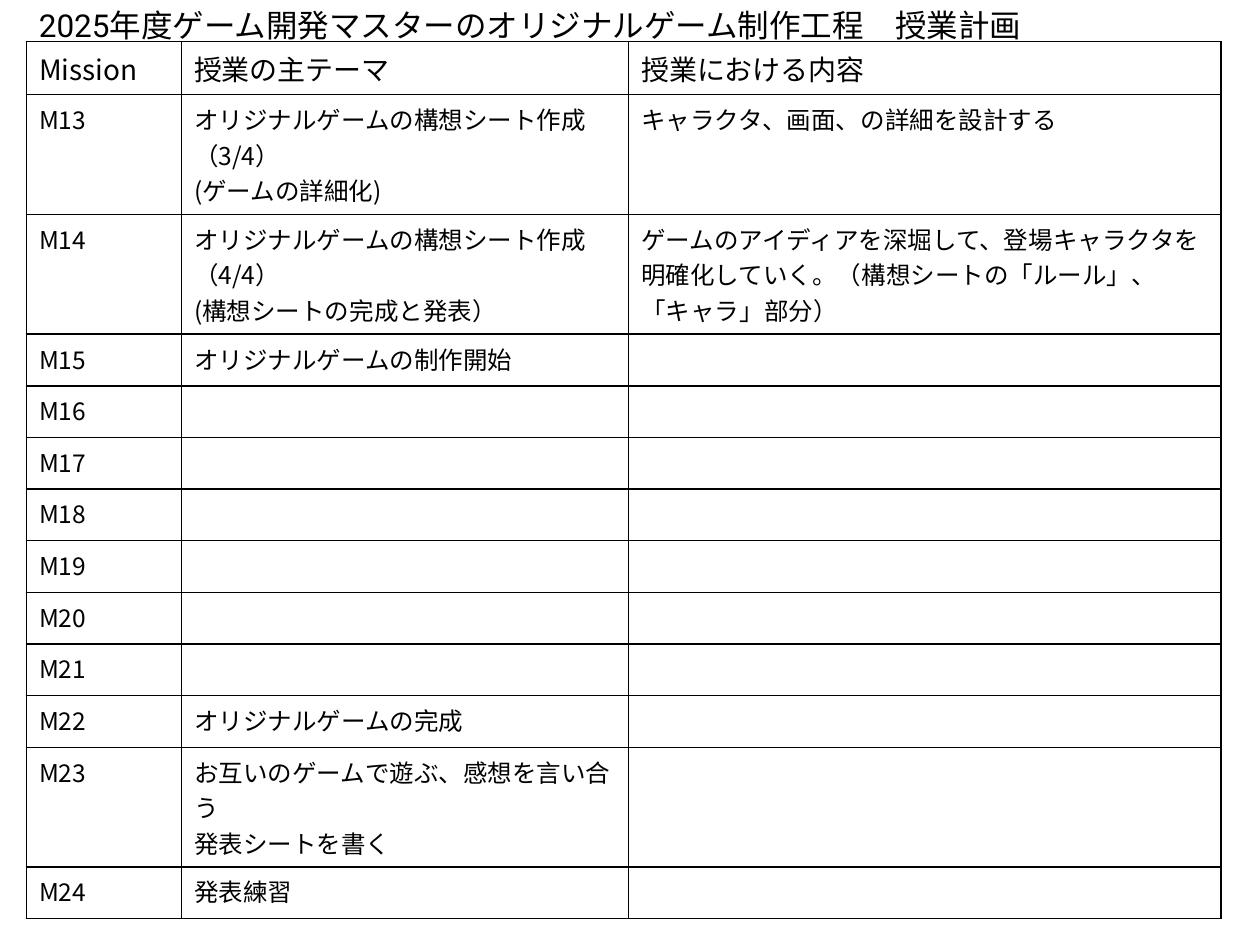
from dataclasses import dataclass

from lxml import etree
from pptx import Presentation
from pptx.dml.color import RGBColor
from pptx.enum import text
from pptx.oxml import ns
from pptx.util import Inches, Pt


@dataclass(frozen=True)
class Theme:
    ink: str = "000000"
    table_font: str = "Noto Sans CJK JP"
    title_font: str = "Roboto"
    title_size: int = 18
    header_size: int = 16
    body_size: int = 14
    border: float = 1


@dataclass(frozen=True)
class Mission:
    name: str
    theme: str = ""
    content: str = ""


THEME = Theme()
TITLE = "2025年度ゲーム開発マスターのオリジナルゲーム制作工程　授業計画"
HEADER = Mission("Mission", "授業の主テーマ", "授業における内容")
MISSIONS = [
    Mission("M13", "オリジナルゲームの構想シート作成（3/4）\n(ゲームの詳細化)",
            "キャラクタ、画面、の詳細を設計する"),
    Mission("M14", "オリジナルゲームの構想シート作成（4/4）\n(構想シートの完成と発表）",
            "ゲームのアイディアを深堀して、登場キャラクタを明確化していく。"
            "（構想シートの「ルール」、「キャラ」部分）"),
    Mission("M15", "オリジナルゲームの制作開始"),
    *(Mission(f"M{number}") for number in range(16, 22)),
    Mission("M22", "オリジナルゲームの完成"),
    Mission("M23", "お互いのゲームで遊ぶ、感想を言い合う\n発表シートを書く"),
    Mission("M24", "発表練習"),
]
LEFT, TABLE_TOP = 0.21, 0.33
COLUMNS = (1.23, 3.55, 4.7)
HEADER_HEIGHT, ROW_HEIGHT = 0.34, 0.41


def write(tf, content: str, font: str, size: int) -> None:
    tf.text = content
    for p in tf.paragraphs:
        for r in p.runs:
            r.font.size = Pt(size)
            r.font.name = font
            r.font.color.rgb = RGBColor.from_string(THEME.ink)
            ea = etree.SubElement(r.font._element, ns.qn("a:ea"))
            ea.set("typeface", THEME.table_font)
        if not p.runs:
            # The size of an empty paragraph keeps its row from growing.
            end = etree.SubElement(p._p, ns.qn("a:endParaRPr"))
            end.set("sz", str(size * 100))


def draw_borders(cell) -> None:
    props = cell._tc.get_or_add_tcPr()
    for i, side in enumerate(("lnL", "lnR", "lnT", "lnB")):
        line = etree.Element(ns.qn(f"a:{side}"), w=str(Pt(THEME.border)))
        fill = etree.SubElement(line, ns.qn("a:solidFill"))
        etree.SubElement(fill, ns.qn("a:srgbClr"), val=THEME.ink)
        props.insert(i, line)


def add_plan(slide, missions: list[Mission]) -> None:
    rows = [HEADER, *missions]
    heights = [HEADER_HEIGHT] + [ROW_HEIGHT] * len(missions)
    table = slide.shapes.add_table(
        len(rows), len(COLUMNS), Inches(LEFT), Inches(TABLE_TOP),
        Inches(sum(COLUMNS)), Inches(sum(heights))).table
    table.first_row = table.horz_banding = False
    for column, width in zip(table.columns, COLUMNS):
        column.width = Inches(width)
    for row, height, mission in zip(table.rows, heights, rows):
        row.height = Inches(height)
        size = THEME.header_size if mission is HEADER else THEME.body_size
        values = (mission.name, mission.theme, mission.content)
        for cell, value in zip(row.cells, values):
            cell.fill.background()
            draw_borders(cell)
            write(cell.text_frame, value, THEME.table_font, size)


def add_title(slide) -> None:
    sp = slide.shapes.add_textbox(Inches(LEFT), 0, Inches(8.12), Inches(0.4))
    tf = sp.text_frame
    tf.word_wrap = True
    tf.auto_size = text.MSO_AUTO_SIZE.SHAPE_TO_FIT_TEXT
    write(tf, TITLE, THEME.title_font, THEME.title_size)


def main() -> None:
    prs = Presentation()
    prs.slide_width, prs.slide_height = Inches(10), Inches(7.5)
    slide = prs.slides.add_slide(prs.slide_layouts[6])
    add_plan(slide, MISSIONS)
    add_title(slide)
    prs.save("out.pptx")


if __name__ == "__main__":
    main()
